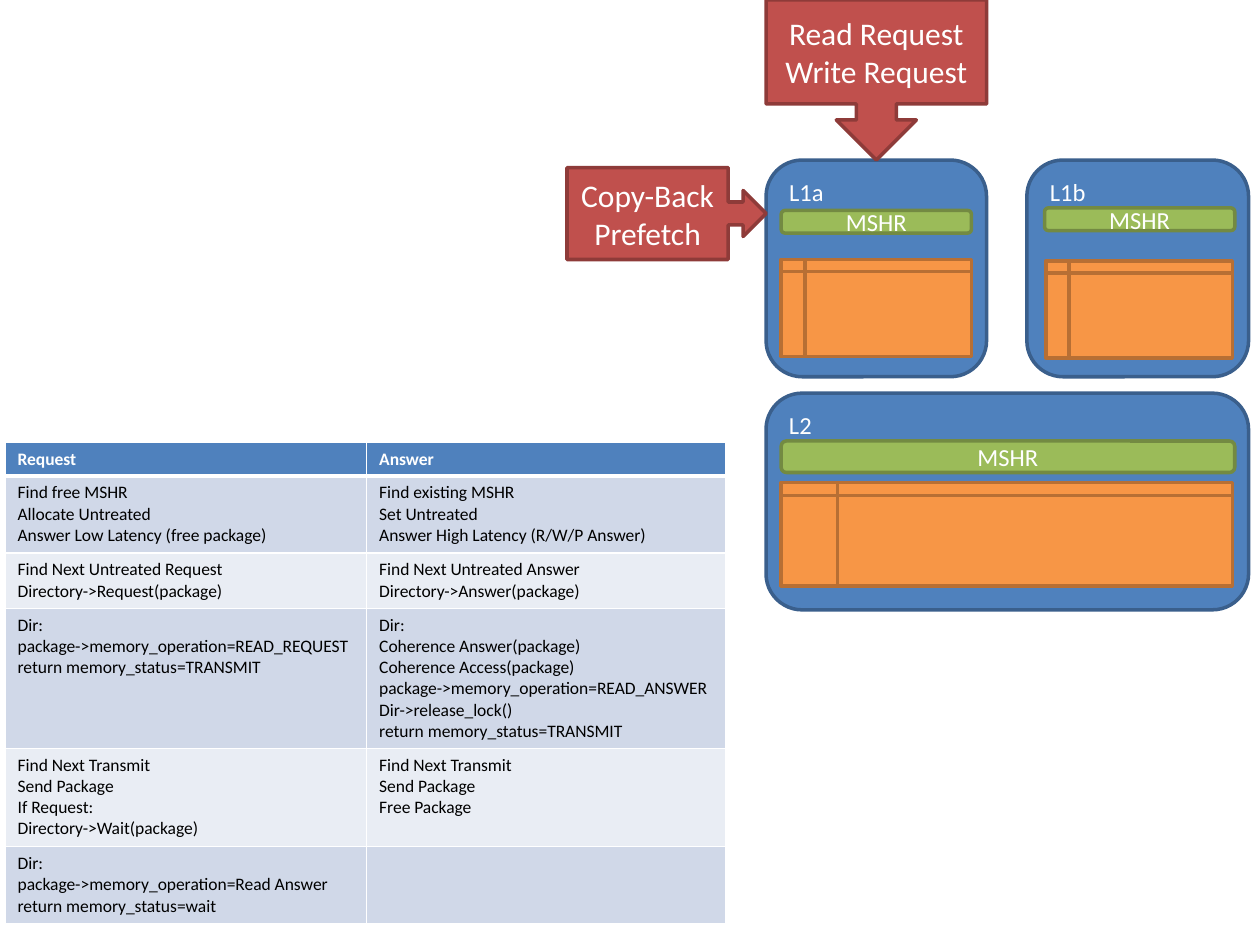
from lxml import etree
from pptx import Presentation
from pptx.dml.color import RGBColor
from pptx.enum import shapes, text
from pptx.oxml import ns
from pptx.util import Inches, Pt

FONT = "Calibri"
WHITE = RGBColor(0xFF, 0xFF, 0xFF)
BLACK = RGBColor(0, 0, 0)
BLUE, BLUE_EDGE = RGBColor(0x4F, 0x81, 0xBD), RGBColor(0x3A, 0x5F, 0x8C)
GREEN, GREEN_EDGE = RGBColor(0x9B, 0xBB, 0x59), RGBColor(0x73, 0x8A, 0x42)
ORANGE, ORANGE_EDGE = RGBColor(0xF7, 0x96, 0x46), RGBColor(0xB7, 0x6F, 0x34)
RED, RED_EDGE = RGBColor(0xC0, 0x50, 0x4D), RGBColor(0x8E, 0x3B, 0x39)
BANDS = RGBColor(0xD0, 0xD8, 0xE8), RGBColor(0xE9, 0xED, 0xF4)
MSO = shapes.MSO_SHAPE

# name, cache box, MSHR box, storage box
CACHES = [
    ("L1a", (6.08, 1.27, 1.75, 1.72), (6.2, 1.67, 1.51, 0.18), (6.2, 2.06, 1.51, 0.77)),
    ("L1b", (8.15, 1.27, 1.76, 1.72), (8.29, 1.65, 1.51, 0.18), (8.3, 2.07, 1.48, 0.77)),
    ("L2", (6.08, 3.12, 3.83, 1.72), (6.2, 3.5, 3.6, 0.25), (6.2, 3.83, 3.58, 0.82)),
]
CALLOUTS = [
    (MSO.DOWN_ARROW_CALLOUT, (6.08, 0, 1.75, 1.27), ["Read Request", "Write Request"], 0.65),
    (MSO.RIGHT_ARROW_CALLOUT, (4.5, 1.33, 1.58, 0.73), ["Copy-Back", "Prefetch"], 0.81),
]
TABLE_LEFT, TABLE_TOP = 0.04, 3.51
COLUMNS = 2.87, 2.85
ROWS = [  # height, request lines, answer lines
    (0.26, ["Request"], ["Answer"]),
    (0.61,
     ["Find free MSHR", "Allocate Untreated", "Answer Low Latency (free package)"],
     ["Find existing MSHR", "Set Untreated", "Answer High Latency (R/W/P Answer)"]),
    (0.44,
     ["Find Next Untreated Request", "Directory->Request(package)"],
     ["Find Next Untreated Answer", "Directory->Answer(package)"]),
    (1.11,
     ["Dir:", "package->memory_operation=READ_REQUEST", "return memory_status=TRANSMIT"],
     ["Dir:", "Coherence Answer(package)", "Coherence Access(package)",
      "package->memory_operation=READ_ANSWER", "Dir->release_lock()",
      "return memory_status=TRANSMIT"]),
    (0.78,
     ["Find Next Transmit", "Send Package", "If Request:", "Directory->Wait(package)"],
     ["Find Next Transmit", "Send Package", "Free Package"]),
    (0.61,
     ["Dir:", "package->memory_operation=Read Answer", "return memory_status=wait"],
     []),
]


def write(tf, lines, size=14, color=WHITE, bold=False, align=text.PP_ALIGN.CENTER):
    for i, line in enumerate(lines):
        p = tf.paragraphs[0] if i == 0 else tf.add_paragraph()
        p.alignment = align
        r = p.add_run()
        r.text = line
        r.font.name, r.font.size, r.font.bold = FONT, Pt(size), bold
        r.font.color.rgb = color


def add_box(s, kind, box, fill, edge, lines=(), anchor=text.MSO_ANCHOR.MIDDLE, **fmt):
    sp = s.shapes.add_shape(kind, *map(Inches, box))
    sp.shadow.inherit = False
    sp.fill.solid()
    sp.fill.fore_color.rgb = fill
    sp.line.color.rgb = edge
    sp.line.width = Pt(2)
    sp.text_frame.vertical_anchor = anchor
    write(sp.text_frame, lines, **fmt)
    return sp


def set_borders(cell, **widths):
    """Draw white cell borders; widths are points keyed by L, R, T and B."""
    tc_pr = cell._tc.get_or_add_tcPr()
    for i, (side, width) in enumerate(widths.items()):
        ln = etree.Element(ns.qn("a:ln" + side), w=str(Pt(width)))
        fill = etree.SubElement(ln, ns.qn("a:solidFill"))
        etree.SubElement(fill, ns.qn("a:srgbClr"), val=str(WHITE))
        tc_pr.insert(i, ln)


def add_steps_table(s):
    heights = [row[0] for row in ROWS]
    frame = s.shapes.add_table(len(ROWS), len(COLUMNS), Inches(TABLE_LEFT), Inches(TABLE_TOP),
                               Inches(sum(COLUMNS)), Inches(sum(heights)))
    table = frame.table
    for column, width in zip(table.columns, COLUMNS):
        column.width = Inches(width)
    for i, (height, *cells) in enumerate(ROWS):
        header = i == 0
        table.rows[i].height = Inches(height)
        for j, lines in enumerate(cells):
            cell = table.cell(i, j)
            cell.fill.solid()
            cell.fill.fore_color.rgb = BLUE if header else BANDS[(i - 1) % 2]
            set_borders(cell, L=1, R=1, T=3 if i == 1 else 1, B=3 if header else 1)
            write(cell.text_frame, lines, size=10, color=WHITE if header else BLACK,
                  bold=header, align=text.PP_ALIGN.LEFT)


def main():
    prs = Presentation()
    prs.slide_width, prs.slide_height = Inches(10), Inches(7.5)
    s = prs.slides.add_slide(prs.slide_layouts[6])
    for name, cache, mshr, storage in CACHES:
        add_box(s, MSO.ROUNDED_RECTANGLE, cache, BLUE, BLUE_EDGE, [name],
                anchor=text.MSO_ANCHOR.TOP, align=text.PP_ALIGN.LEFT)
        add_box(s, MSO.ROUNDED_RECTANGLE, mshr, GREEN, GREEN_EDGE, ["MSHR"])
        add_box(s, MSO.FLOWCHART_INTERNAL_STORAGE, storage, ORANGE, ORANGE_EDGE)
    for kind, box, lines, body_share in CALLOUTS:
        sp = add_box(s, kind, box, RED, RED_EDGE, lines, size=18)
        sp.adjustments[3] = body_share
    add_steps_table(s)
    prs.save("out.pptx")


if __name__ == "__main__":
    main()
